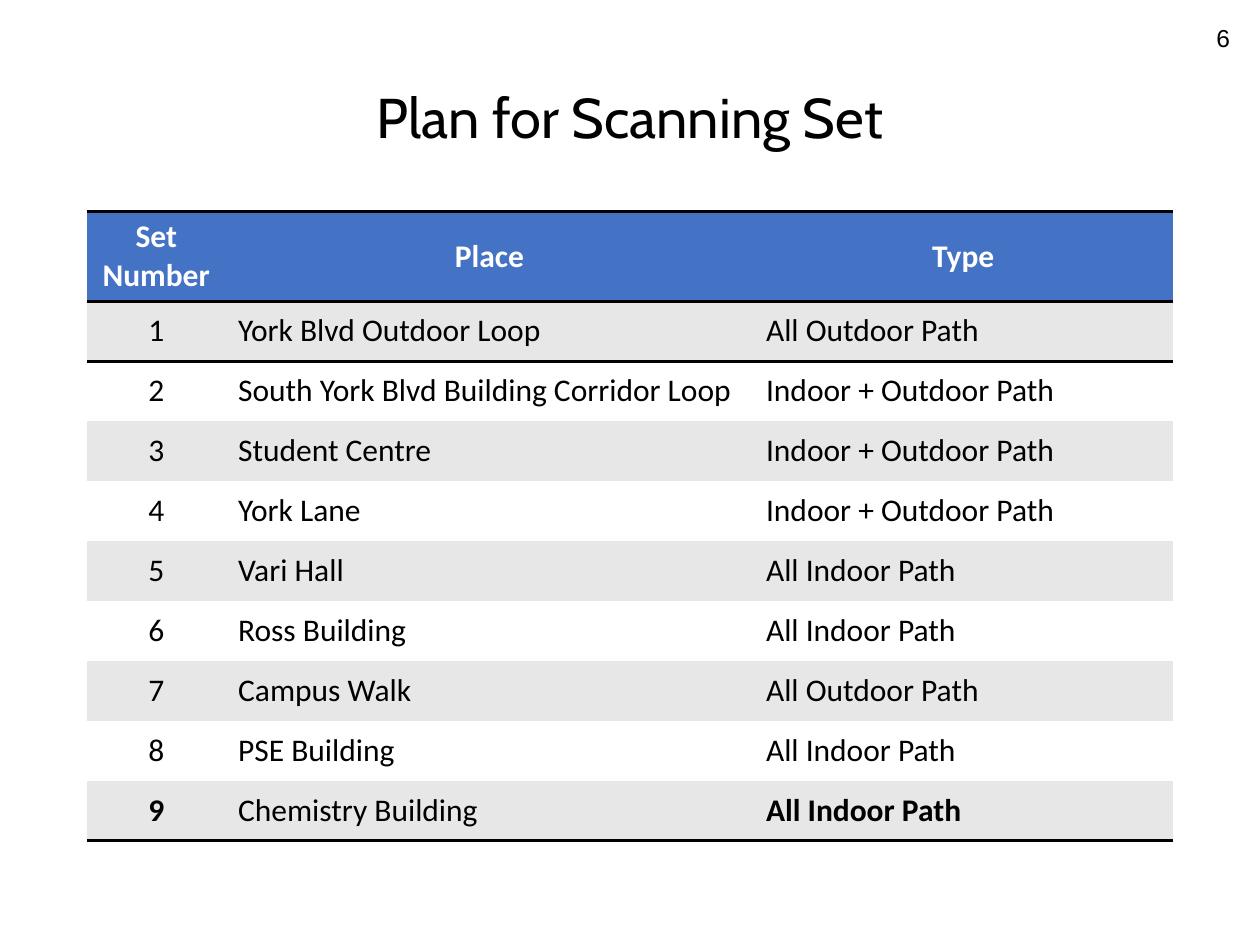
"""Build the slide that lists the scanning sets in a table."""
from dataclasses import dataclass

from lxml.etree import SubElement as Sub
from pptx import Presentation
from pptx.dml.color import RGBColor as RGB
from pptx.enum.text import MSO_ANCHOR as Anchor, PP_ALIGN as Align
from pptx.oxml.ns import qn
from pptx.util import Inches, Pt

TITLE = "Plan for Scanning Set"
PAGE = "6"
HEAD = ("Set\nNumber", "Place", "Type")
SETS = [
    ("York Blvd Outdoor Loop", "All Outdoor Path"),
    ("South York Blvd Building Corridor Loop", "Indoor + Outdoor Path"),
    ("Student Centre", "Indoor + Outdoor Path"),
    ("York Lane", "Indoor + Outdoor Path"),
    ("Vari Hall", "All Indoor Path"),
    ("Ross Building", "All Indoor Path"),
    ("Campus Walk", "All Outdoor Path"),
    ("PSE Building", "All Indoor Path"),
    ("Chemistry Building", "All Indoor Path"),
]
WIDE, HIGH = 10, 7.5
LEFT, TOP = 0.69, 1.68
COLS = (1.1, 4.19, 3.33)
TALL, ROW = 0.71, 0.476
PLAIN = "{2D5ABB26-0587-4C30-8999-92F81FD0307C}"


@dataclass(frozen=True)
class Theme:
    ink: str = "000000"
    paper: str = "FFFFFF"
    blue: str = "4472C4"
    band: str = "E7E7E7"
    title: tuple = ("Cabin", 32)
    page: tuple = ("Arial", 14)
    body: tuple = ("Calibri", 18)
    rule: int = 2


LOOK = Theme()


def write(frame, text, face, align, color=LOOK.ink, bold=False):
    frame.text = text
    for para in frame.paragraphs:
        para.alignment = align
        font = para.font
        font.name, font.size, font.bold = face[0], Pt(face[1]), bold
        font.color.rgb = RGB.from_string(color)


def label(slide, text, area, face, align):
    frame = slide.shapes.add_textbox(*map(Inches, area)).text_frame
    frame.word_wrap = True
    frame.vertical_anchor = Anchor.MIDDLE
    write(frame, text, face, align)
    return frame


def edge(cell, side):
    line = Sub(cell._tc.get_or_add_tcPr(), qn(f"a:ln{side}"), w=str(Pt(LOOK.rule)))
    Sub(Sub(line, qn("a:solidFill")), qn("a:srgbClr"), val=LOOK.ink)


def grid(slide):
    rows = [HEAD] + [(str(n), *pair) for n, pair in enumerate(SETS, 1)]
    last = len(rows) - 1
    area = (LEFT, TOP, sum(COLS), TALL + ROW * last)
    table = slide.shapes.add_table(len(rows), len(COLS), *map(Inches, area)).table
    table._tbl.tblPr.find(qn("a:tableStyleId")).text = PLAIN
    for col, width in zip(table.columns, COLS):
        col.width = Inches(width)
    for r, row in enumerate(rows):
        table.rows[r].height = Inches(ROW if r else TALL)
        sides = {0: "TB", 1: "T", last: "B"}.get(r, "")
        fill = LOOK.blue if r == 0 else LOOK.band if r % 2 else LOOK.paper
        for c, text in enumerate(row):
            cell = table.cell(r, c)
            for side in sides:
                edge(cell, side)
            cell.fill.solid()
            cell.fill.fore_color.rgb = RGB.from_string(fill)
            cell.vertical_anchor = Anchor.MIDDLE
            align = Align.LEFT if r and c else Align.CENTER
            bold = r == 0 or (r == last and c != 1)
            color = LOOK.ink if r else LOOK.paper
            write(cell.text_frame, text, LOOK.body, align, color, bold)


def main():
    deck = Presentation()
    deck.slide_width, deck.slide_height = Inches(WIDE), Inches(HIGH)
    slide = deck.slides.add_slide(deck.slide_layouts[6])
    head = label(slide, TITLE, (LEFT, 0.62, sum(COLS), 0.67), LOOK.title, Align.CENTER)
    head.paragraphs[0].line_spacing = 0.9
    label(slide, PAGE, (7.61, 0.1, 2.25, 0.4), LOOK.page, Align.RIGHT)
    grid(slide)
    deck.save("out.pptx")


if __name__ == "__main__":
    main()
